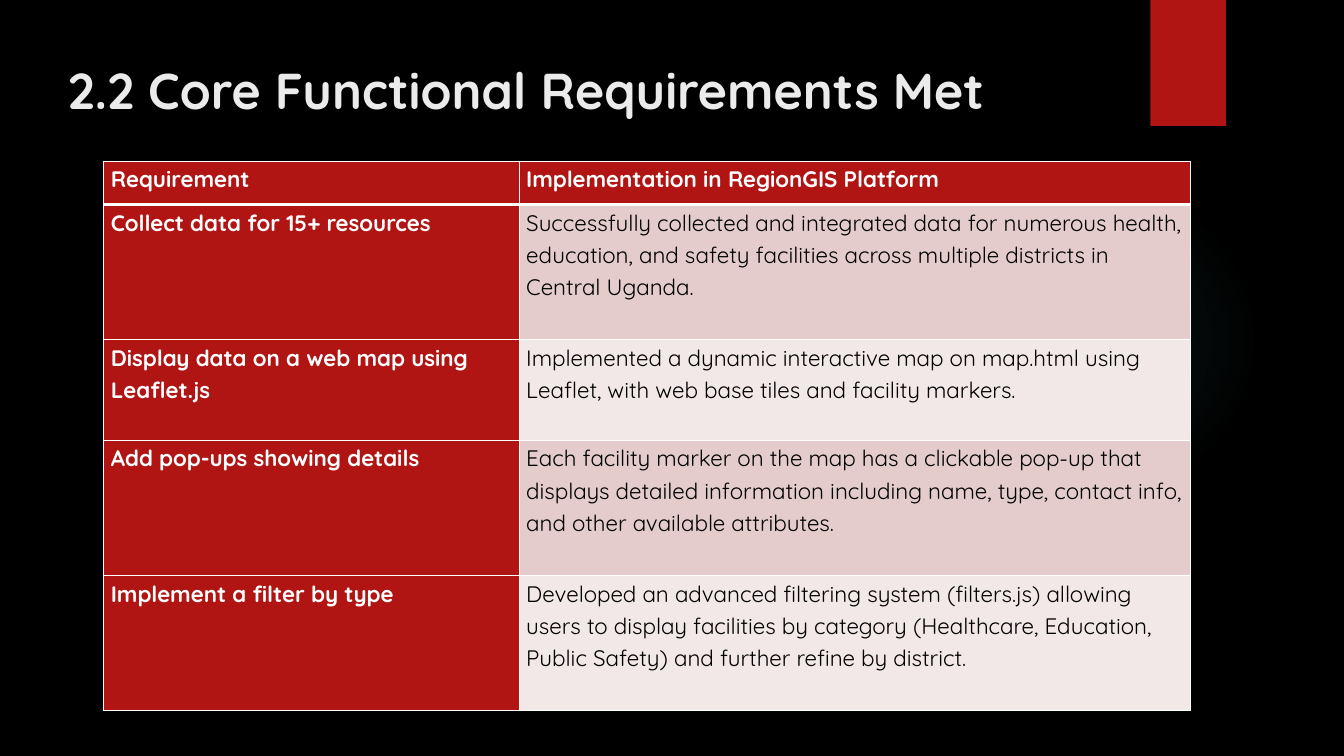
import pptx
import pptx.dml.color
import pptx.enum.shapes
import pptx.enum.text
import pptx.oxml
import pptx.oxml.ns
import pptx.util

RGBColor = pptx.dml.color.RGBColor
Inches = pptx.util.Inches
Pt = pptx.util.Pt
MSO_SHAPE = pptx.enum.shapes.MSO_SHAPE

BLACK = RGBColor(0x00, 0x00, 0x00)
WHITE = RGBColor(0xFF, 0xFF, 0xFF)
RED = RGBColor(0xB0, 0x15, 0x13)
TITLE_GREY = RGBColor(0xEB, 0xEB, 0xEB)
GLOW = RGBColor(0x50, 0xB9, 0xC1)
BANDS = [RGBColor(0xE4, 0xCC, 0xCC), RGBColor(0xF2, 0xE8, 0xE7)]
NS = pptx.oxml.ns.nsdecls("a")

ROWS = [
    ("Requirement", "Implementation in RegionGIS Platform"),
    ("Collect data for 15+ resources",
     "Successfully collected and integrated data for numerous health, education, "
     "and safety facilities across multiple districts in Central Uganda."),
    ("Display data on a web map using Leaflet.js",
     "Implemented a dynamic interactive map on map.html using Leaflet, "
     "with web base tiles and facility markers."),
    ("Add pop-ups showing details",
     "Each facility marker on the map has a clickable pop-up that displays detailed "
     "information including name, type, contact info, and other available attributes."),
    ("Implement a filter by type",
     "Developed an advanced filtering system (filters.js) allowing users to display "
     "facilities by category (Healthcare, Education, Public Safety) and further refine "
     "by district."),
]
COL_WIDTHS = [4.12, 6.66]
ROW_HEIGHTS = [0.43, 1.34, 1, 1.34, 1.34]


def set_font(r, **values):
    for name, value in values.items():
        if name == "color":
            r.font.color.rgb = value
        else:
            setattr(r.font, name, value)


def add_plain_shape(slide, kind, left, top, width, height, color):
    sp = slide.shapes.add_shape(kind, Inches(left), Inches(top), Inches(width), Inches(height))
    sp.shadow.inherit = False
    sp.fill.solid()
    sp.fill.fore_color.rgb = color
    sp.line.fill.background()
    return sp


prs = pptx.Presentation()
prs.slide_width, prs.slide_height = Inches(13.33), Inches(7.5)
slide = prs.slides.add_slide(prs.slide_layouts[5])
slide.background.fill.solid()
slide.background.fill.fore_color.rgb = BLACK

# Faint round glow, fading outwards
glow = add_plain_shape(slide, MSO_SHAPE.OVAL, 9.41, 1.83, 3.08, 3.08, GLOW)
stops = "".join(
    f'<a:gs pos="{pos}000"><a:srgbClr val="{GLOW}"><a:alpha val="{alpha}000"/></a:srgbClr></a:gs>'
    for pos, alpha in [(0, 7), (36, 6), (69, 0)])
gradient = pptx.oxml.parse_xml(
    f'<a:gradFill {NS}><a:gsLst>{stops}</a:gsLst><a:path path="circle">'
    '<a:fillToRect l="50000" t="50000" r="50000" b="50000"/></a:path></a:gradFill>')
spPr = glow.element.spPr
spPr.replace(spPr.find(pptx.oxml.ns.qn("a:solidFill")), gradient)

# Red tab at the top edge
add_plain_shape(slide, MSO_SHAPE.RECTANGLE, 11.41, 0, 0.75, 1.25, RED)

# Title
title = slide.shapes.title
title.left, title.top, title.width, title.height = map(Inches, (0.57, 0.54, 10.29, 1.53))
tf = title.text_frame
tf.word_wrap = True
tf.auto_size = pptx.enum.text.MSO_AUTO_SIZE.NONE
tf.vertical_anchor = pptx.enum.text.MSO_ANCHOR.TOP
p = tf.paragraphs[0]
p.alignment = pptx.enum.text.PP_ALIGN.LEFT
r = p.add_run()
r.text = "2.2 Core Functional Requirements Met"
set_font(r, name="Quicksand", size=Pt(36), bold=True, color=TITLE_GREY)

# Requirements table
table = slide.shapes.add_table(
    len(ROWS), len(COL_WIDTHS), Inches(1.03), Inches(1.6),
    Inches(sum(COL_WIDTHS)), Inches(sum(ROW_HEIGHTS))).table
for column, width in zip(table.columns, COL_WIDTHS):
    column.width = Inches(width)
for row, height in zip(table.rows, ROW_HEIGHTS):
    row.height = Inches(height)

for i, texts in enumerate(ROWS):
    for j, text in enumerate(texts):
        cell = table.cell(i, j)
        strong = i == 0 or j == 0
        cell.margin_left = cell.margin_right = Inches(0.07)
        cell.margin_top = cell.margin_bottom = 0
        cell.fill.solid()
        cell.fill.fore_color.rgb = RED if strong else BANDS[(i - 1) % 2]
        p = cell.text_frame.paragraphs[0]
        p.line_spacing = 1.15
        p.space_after = Pt(8)
        r = p.add_run()
        r.text = text
        set_font(r, name="Quicksand", size=Pt(16), bold=strong, color=WHITE if strong else BLACK)

        # White borders, thicker between header and body
        borders = {"L": 1, "R": 1, "T": 3 if i == 1 else 1, "B": 3 if i == 0 else 1}
        tcPr = cell._tc.get_or_add_tcPr()
        for k, (side, points) in enumerate(borders.items()):
            tcPr.insert(k, pptx.oxml.parse_xml(
                f'<a:ln{side} {NS} w="{Pt(points)}"><a:solidFill>'
                f'<a:srgbClr val="{WHITE}"/></a:solidFill></a:ln{side}>'))

prs.save("out.pptx")
